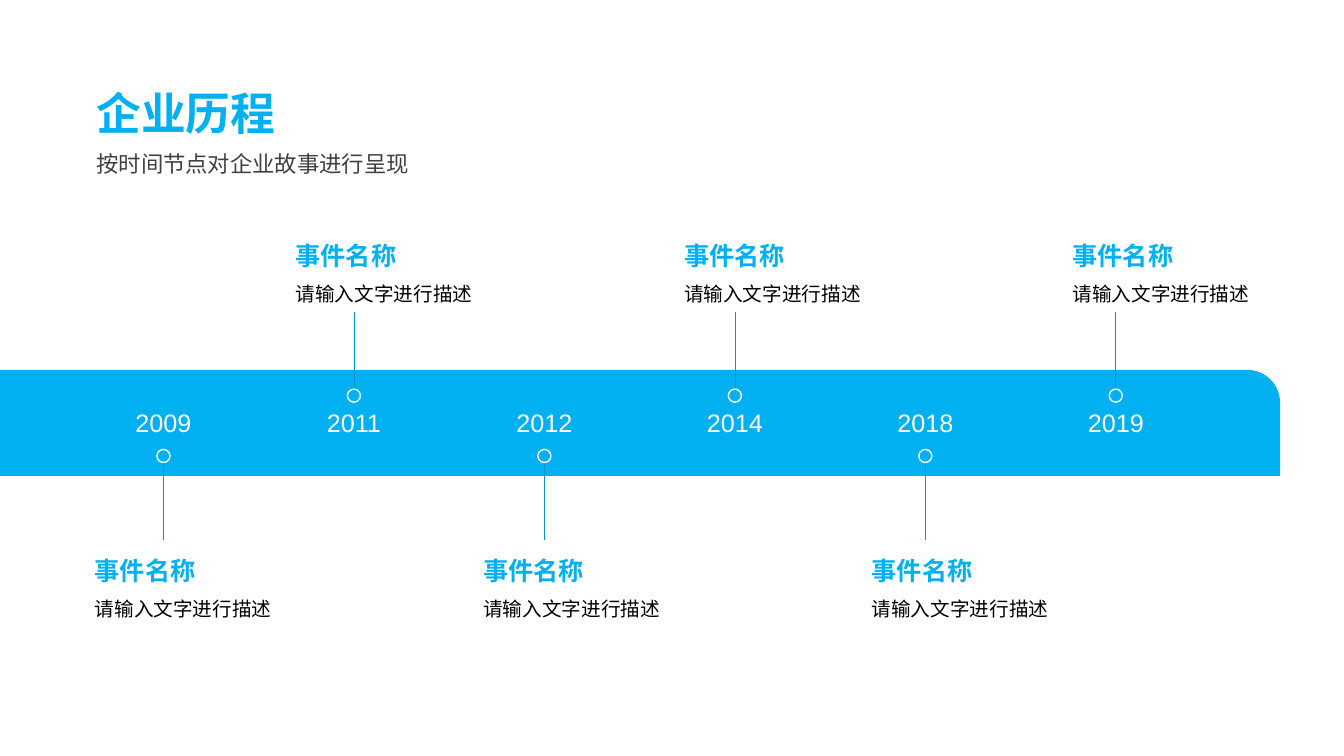
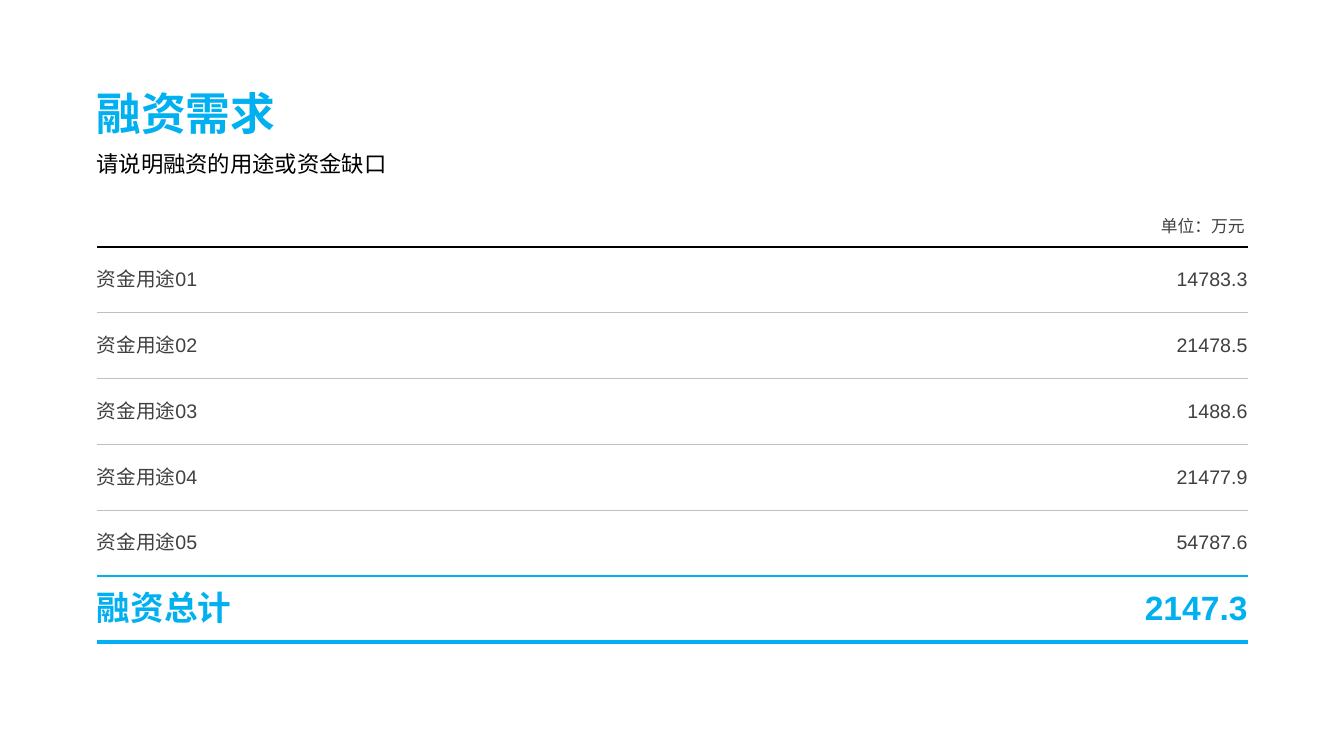
import dataclasses
import typing

import lxml.etree
import pptx
import pptx.dml.color
import pptx.enum.shapes
import pptx.enum.text
import pptx.oxml.ns
import pptx.presentation
import pptx.slide
import pptx.table
import pptx.text.text
import pptx.util

Cm = pptx.util.Cm
Pt = pptx.util.Pt
qn = pptx.oxml.ns.qn
Align = pptx.enum.text.PP_ALIGN

FONT = "Arial"
BLUE, LINE_BLUE = "00B0F0", "0094C8"
BLACK, WHITE, DARK, GREY = "000000", "FFFFFF", "404040", "BFBFBF"

TITLE = {"size": Pt(32), "bold": True}
SUBTITLE = {"size": Pt(16)}
EVENT_NAME = {"size": Pt(18), "bold": True}
YEAR = {"size": Pt(18)}
BODY = {"size": Pt(14)}
UNIT = {"size": Pt(12)}
TOTAL = {"size": Pt(24), "bold": True}

BAND_TOP, BAND_WIDTH, BAND_HEIGHT = 9.32, 32.26, 2.67
YEAR_LEFT, YEAR_STEP = 4.12, 4.8
EVENT_LEFT, EVENT_STEP, EVENT_SHIFT = 2.39, 9.79, 5.06
DOT = 0.33
COLUMNS, COLUMN_WIDTH, ROW_HEIGHT = 5, 5.8, 1.66


class Box(typing.NamedTuple):
    left: float
    top: float
    width: float
    height: float

    def lengths(self) -> list[pptx.util.Length]:
        return [Cm(v) for v in self]


class Rule(typing.NamedTuple):
    color: str
    points: float


@dataclasses.dataclass(frozen=True)
class Side:
    dot_y: float
    line_end: float
    text_top: float


@dataclasses.dataclass(frozen=True)
class Event:
    year: str
    name: str = "事件名称"
    description: str = "请输入文字进行描述"


@dataclasses.dataclass(frozen=True)
class Row:
    label: str
    amount: str
    top: Rule
    bottom: Rule
    fmt: dict
    color: str


BELOW = Side(dot_y=11.49, line_end=13.61, text_top=13.87)
ABOVE = Side(dot_y=9.97, line_end=7.85, text_top=5.94)
EVENTS = [Event(y) for y in ("2009", "2011", "2012", "2014", "2018", "2019")]
AMOUNTS = ["14783.3", "21478.5", "1488.6", "21477.9", "54787.6"]
HEAD_RULE, ROW_RULE = Rule(BLACK, 1.5), Rule(GREY, 0.75)
SUM_RULE, END_RULE = Rule(BLUE, 1.5), Rule(BLUE, 3)


def rgb(color: str) -> pptx.dml.color.RGBColor:
    return pptx.dml.color.RGBColor.from_string(color)


def write(tf: pptx.text.text.TextFrame, text: str, fmt: dict, color: str,
          align: Align = Align.LEFT) -> None:
    p = tf.paragraphs[0]
    p.alignment = align
    r = p.add_run()
    r.text = text
    for key, value in {"name": FONT, **fmt}.items():
        setattr(r.font, key, value)
    r.font.color.rgb = rgb(color)
    lxml.etree.SubElement(r.font._element, qn("a:ea"), typeface=FONT)


def add_text(s: pptx.slide.Slide, box: Box, text: str, fmt: dict, color: str,
             align: Align = Align.LEFT, inset: float = 0.25) -> None:
    tf = s.shapes.add_textbox(*box.lengths()).text_frame
    frame = {"word_wrap": False, "margin_left": Cm(inset),
             "auto_size": pptx.enum.text.MSO_AUTO_SIZE.SHAPE_TO_FIT_TEXT}
    for key, value in frame.items():
        setattr(tf, key, value)
    write(tf, text, fmt, color, align)


def add_titled_slide(prs: pptx.presentation.Presentation, title: str,
                     subtitle: str, width: float, color: str) -> pptx.slide.Slide:
    s = prs.slides.add_slide(prs.slide_layouts[6])
    add_text(s, Box(2.18, 2.03, 5.08, 1.63), title, TITLE, BLUE)
    add_text(s, Box(2.18, 3.66, width, 0.94), subtitle, SUBTITLE, color)
    return s


def add_event(s: pptx.slide.Slide, i: int, event: Event) -> None:
    side = ABOVE if i % 2 else BELOW
    x = YEAR_LEFT + i * YEAR_STEP
    line = s.shapes.add_connector(pptx.enum.shapes.MSO_CONNECTOR.STRAIGHT,
                                  Cm(x), Cm(side.dot_y), Cm(x), Cm(side.line_end))
    line.line.color.rgb = rgb(LINE_BLUE)
    line.line.width = Pt(0.5)
    lxml.etree.SubElement(line._element.spPr, qn("a:effectLst"))

    dot = Box(x - DOT / 2, side.dot_y - DOT / 2, DOT, DOT)
    sp = s.shapes.add_shape(pptx.enum.shapes.MSO_SHAPE.OVAL, *dot.lengths())
    sp.shadow.inherit = False
    sp.fill.solid()
    sp.fill.fore_color.rgb = rgb(BLUE)
    sp.line.color.rgb = rgb(WHITE)
    sp.line.width = Pt(1)

    add_text(s, Box(x - 0.96, 10.13, 1.92, 1.02), event.year, YEAR, WHITE, Align.CENTER)
    left = EVENT_LEFT + i // 2 * EVENT_STEP + i % 2 * EVENT_SHIFT
    add_text(s, Box(left, side.text_top, 2.82, 1.02), event.name, EVENT_NAME, BLUE, inset=0)
    add_text(s, Box(left, side.text_top + 1.04, 4.75, 0.86), event.description,
             BODY, BLACK, inset=0)


def add_history(prs: pptx.presentation.Presentation) -> None:
    s = add_titled_slide(prs, "企业历程", "按时间节点对企业故事进行呈现", 8.81, DARK)
    band = Box(0, BAND_TOP, BAND_WIDTH, BAND_HEIGHT)
    sp = s.shapes.add_shape(pptx.enum.shapes.MSO_SHAPE.ROUND_1_RECTANGLE, *band.lengths())
    sp.adjustments[0] = 0.31
    sp.shadow.inherit = False
    sp.fill.solid()
    sp.fill.fore_color.rgb = rgb(BLUE)
    sp.line.fill.background()
    for i, event in enumerate(EVENTS):
        add_event(s, i, event)


def set_borders(cell: pptx.table._Cell, top: Rule, bottom: Rule) -> None:
    tc_pr = cell._tc.get_or_add_tcPr()
    borders = {"a:lnL": None, "a:lnR": None, "a:lnT": top, "a:lnB": bottom}
    for i, (tag, rule) in enumerate(borders.items()):
        ln = lxml.etree.Element(qn(tag), w=str(int(Pt(rule.points)) if rule else 0))
        if rule:
            fill = lxml.etree.SubElement(ln, qn("a:solidFill"))
            lxml.etree.SubElement(fill, qn("a:srgbClr"), val=rule.color)
        else:
            lxml.etree.SubElement(ln, qn("a:noFill"))
        tc_pr.insert(i, ln)


def funding_rows() -> list[Row]:
    last = len(AMOUNTS)
    rows = [Row(f"资金用途{n:02}", amount, HEAD_RULE if n == 1 else ROW_RULE,
                SUM_RULE if n == last else ROW_RULE, BODY, DARK)
            for n, amount in enumerate(AMOUNTS, 1)]
    return rows + [Row("融资总计", "2147.3", SUM_RULE, END_RULE, TOTAL, BLUE)]


def add_funding(prs: pptx.presentation.Presentation) -> None:
    s = add_titled_slide(prs, "融资需求", "请说明融资的用途或资金缺口", 8.13, BLACK)
    rows = funding_rows()
    box = Box(2.44, 6.22, COLUMNS * COLUMN_WIDTH, len(rows) * ROW_HEIGHT)
    table = s.shapes.add_table(len(rows), COLUMNS, *box.lengths()).table
    table.first_row = table.horz_banding = False
    for row, table_row in zip(rows, table.rows):
        for cell in table_row.cells:
            cell.fill.background()
            cell.vertical_anchor = pptx.enum.text.MSO_ANCHOR.MIDDLE
            set_borders(cell, row.top, row.bottom)
        label, amount = table_row.cells[0], table_row.cells[COLUMNS - 1]
        label.margin_left = amount.margin_right = Cm(0)
        write(label.text_frame, row.label, row.fmt, row.color)
        write(amount.text_frame, row.amount, row.fmt, row.color, Align.RIGHT)
    add_text(s, Box(28.98, 5.31, 2.64, 0.76), "单位：万元", UNIT, DARK, Align.RIGHT)


def main() -> None:
    prs = pptx.Presentation()
    prs.slide_width, prs.slide_height = Cm(33.87), Cm(19.05)
    add_history(prs)
    add_funding(prs)
    prs.save("out.pptx")


if __name__ == "__main__":
    main()
